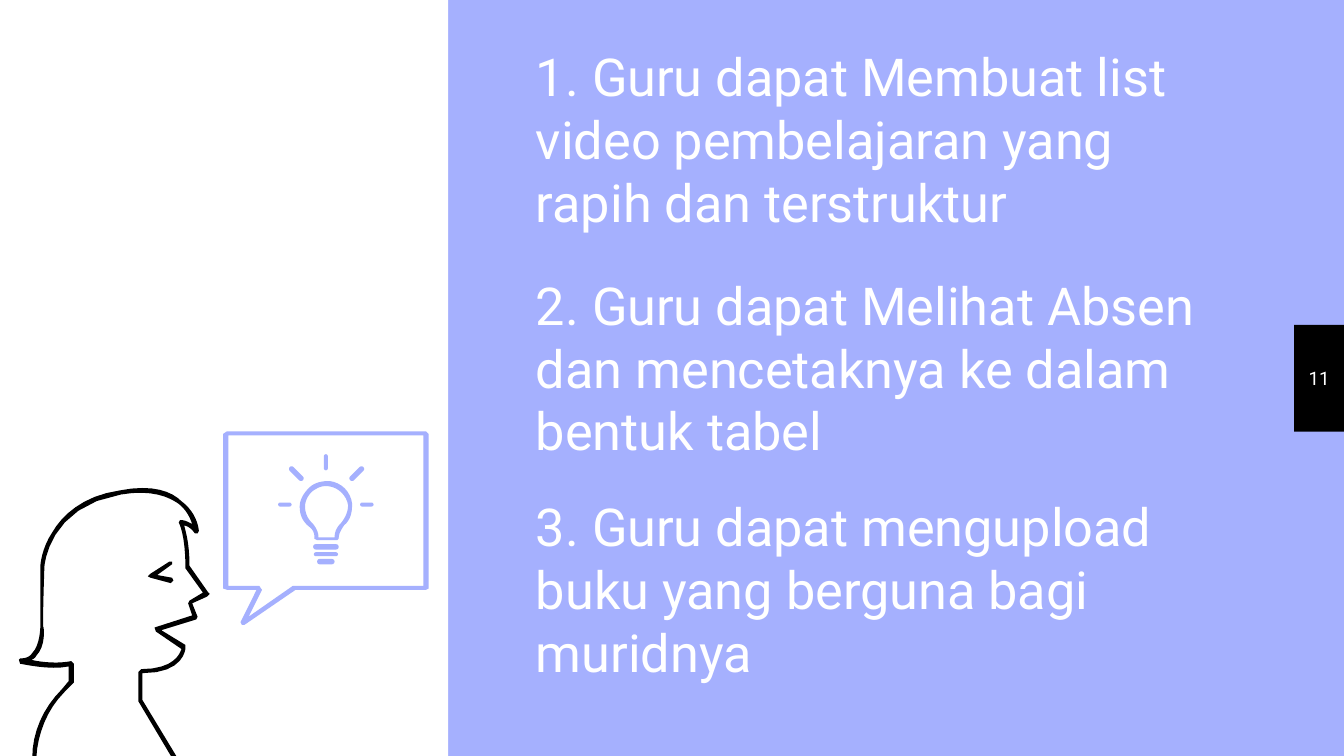
from dataclasses import dataclass
from math import atan2, cos, pi, sin

from pptx import Presentation
from pptx.dml.color import RGBColor as RGB
from pptx.enum.shapes import MSO_SHAPE as Shape
from pptx.enum.text import MSO_ANCHOR as Anchor, PP_ALIGN as Align
from pptx.util import Cm, Pt


@dataclass(frozen=True)
class Theme:
    lilac: RGB = RGB(0xA5, 0xB0, 0xFE)
    white: RGB = RGB(255, 255, 255)
    black: RGB = RGB(0, 0, 0)
    font: str = "Roboto"
    goal: int = 28
    page: int = 10


# Drawing grid: 1000 units across the slide.
# A pair is a straight line to a point, six numbers are a Bezier curve.
UNIT = Cm(25.4) / 1000

EYE = [(112, 427), (126, 418), (128, 418), (128, 420), (117, 428), (128, 430),
       (129, 432), (127, 434), (112, 430), (110, 429)]

HEAD = [
    # Chin, neck and shoulder
    (138, 480), (138, 482), (138, 483, 137, 501, 106, 501), (106, 521),
    (132, 564), (128, 564), (103, 522), (103, 500), (105, 498),
    (130, 498, 134, 486, 135, 483),
    # Mouth, nose and brow
    (116, 470), (115, 467), (143, 458), (140, 449), (141, 447), (151, 441),
    (138, 423), (138, 397, 133, 389, 133, 389), (134, 387),
    (138, 387, 141, 389, 143, 390),
    # Inner edge of the hair
    (141, 384, 138, 379, 133, 375), (126, 370, 113, 364, 90, 368),
    (36, 377, 33, 421, 33, 422), (33, 425, 32, 449, 32, 466),
    (33, 467, 34, 481, 27, 488), (26, 490, 24, 491, 23, 491),
    (31, 493, 44, 494, 53, 492), (55, 494),
    # Back
    (55, 508), (48, 515), (35, 528, 28, 546, 27, 564), (24, 564),
    (24, 545, 32, 527, 46, 513), (51, 507), (51, 496),
    (37, 499, 16, 494, 15, 494), (14, 491), (15, 490),
    # Outer edge of the hair
    (19, 490, 22, 489, 24, 486), (30, 480, 30, 466, 30, 466), (30, 422),
    (30, 420, 31, 408, 39, 396), (46, 384, 61, 369, 89, 365),
    (114, 360, 128, 366, 135, 373), (143, 379, 147, 387, 148, 395),
    (147, 397), (145, 397), (145, 397, 142, 392, 137, 391),
    # Face
    (138, 395, 141, 404, 141, 421), (155, 441), (156, 442), (154, 444),
    (143, 449), (147, 459), (146, 461), (120, 469),
]

BUBBLE = [
    [(169, 321), (317, 321), (319, 323), (319, 438), (317, 439), (220, 439),
     (182, 465), (180, 465), (179, 463), (191, 439), (169, 439), (166, 438),
     (166, 323)],
    [(170, 436), (193, 436), (195, 439), (185, 459), (218, 436), (315, 436),
     (315, 324), (170, 324)],
]

BULB = [
    [(256, 391), (254, 394, 252, 397, 252, 401), (251, 402), (236, 402),
     (234, 401), (234, 400), (234, 397, 233, 394, 230, 392),
     (225, 388, 223, 383, 223, 377), (223, 372, 226, 367, 230, 363),
     (234, 359, 240, 358, 245, 358), (254, 359, 261, 366, 262, 375),
     (262, 381, 261, 387, 256, 391)],
    [(259, 376), (258, 369, 252, 363, 245, 362), (240, 361, 236, 363, 232, 366),
     (229, 369, 227, 373, 227, 377), (227, 382, 229, 386, 232, 389),
     (235, 392, 237, 396, 237, 400), (249, 400),
     (249, 395, 251, 392, 254, 389), (257, 385, 259, 381, 259, 376)],
]

# Rounded strokes: start, end, width
STROKES = [
    (235, 407, 250, 407, 4), (235, 412.5, 250, 412.5, 3), (238, 418, 247, 418, 4),
    (242.5, 339.5, 242.5, 348.5, 3), (208.5, 375.5, 215.5, 375.5, 3),
    (269.5, 375.5, 276.5, 375.5, 3),
    (262, 356, 269, 349, 4), (217, 349, 224, 356, 4),
]

GOALS = [
    (2.16, "1. Guru dapat Membuat list video pembelajaran yang rapih dan terstruktur"),
    (6.48, "2. Guru dapat Melihat Absen dan mencetaknya ke dalam bentuk tabel"),
    (10.67, "3. Guru dapat mengupload buku yang berguna bagi muridnya"),
]


def trace(path, steps=8):
    """Turn lines and Bezier curves into points."""
    out = []
    for part in path:
        if len(part) == 2:
            out.append(part)
            continue
        pts = [out[-1], part[:2], part[2:4], part[4:]]
        for i in range(1, steps + 1):
            t = i / steps
            w = ((1 - t) ** 3, 3 * t * (1 - t) ** 2, 3 * t * t * (1 - t), t ** 3)
            out.append(tuple(sum(k * p[axis] for k, p in zip(w, pts))
                             for axis in (0, 1)))
    return [(x * UNIT, y * UNIT) for x, y in out]


def pill(x1, y1, x2, y2, width, steps=6):
    """Outline of a stroke with round ends."""
    turn = atan2(y2 - y1, x2 - x1)
    out = []
    for x, y, start in ((x2, y2, turn - pi / 2), (x1, y1, turn + pi / 2)):
        for i in range(steps + 1):
            a = start + pi * i / steps
            out.append((x + width / 2 * cos(a), y + width / 2 * sin(a)))
    return out


class Deck:
    def __init__(self, theme):
        self.theme = theme
        self.prs = Presentation()
        self.prs.slide_width, self.prs.slide_height = Cm(25.4), Cm(14.29)
        self.slide = self.prs.slides.add_slide(self.prs.slide_layouts[6])
        self.shapes = self.slide.shapes

    def ground(self, color):
        fill = self.slide.background.fill
        fill.solid()
        fill.fore_color.rgb = color

    def paint(self, shape, color):
        shape.shadow.inherit = False
        shape.fill.solid()
        shape.fill.fore_color.rgb = color
        shape.line.fill.background()

    def rect(self, x, y, w, h, color):
        box = self.shapes.add_shape(Shape.RECTANGLE, Cm(x), Cm(y), Cm(w), Cm(h))
        self.paint(box, color)

    def text(self, x, y, w, h, words, size, anchor, align=Align.LEFT):
        frame = self.shapes.add_textbox(Cm(x), Cm(y), Cm(w), Cm(h)).text_frame
        frame.word_wrap = True
        frame.vertical_anchor = anchor
        frame.margin_left = frame.margin_right = Cm(0.25)
        frame.margin_top = frame.margin_bottom = Cm(0.25)
        para = frame.paragraphs[0]
        para.text = words
        para.alignment = align
        para.font.name = self.theme.font
        para.font.size = Pt(size)
        para.font.color.rgb = self.theme.white

    def form(self, color, *paths):
        first, *rest = [trace(path) for path in paths]
        pen = self.shapes.build_freeform(*first[0], scale=1.0)
        pen.add_line_segments(first[1:], close=True)
        for pts in rest:
            pen.move_to(*pts[0])
            pen.add_line_segments(pts[1:], close=True)
        self.paint(pen.convert_to_shape(), color)


def main():
    theme = Theme()
    deck = Deck(theme)

    # Panels
    deck.ground(theme.lilac)
    deck.rect(24.46, 6.14, 0.94, 2.02, theme.black)
    deck.rect(0, 0, 8.47, 14.29, theme.white)

    # Goals and page number
    for top, words in GOALS:
        deck.text(9.88, top, 13.61, 2.49, words, theme.goal, Anchor.BOTTOM)
    deck.text(24.46, 6.13, 0.94, 2.02, "11", theme.page, Anchor.MIDDLE, Align.CENTER)

    # Speaker
    deck.form(theme.black, EYE)
    deck.form(theme.black, HEAD)

    # Speech bubble with light bulb
    deck.form(theme.lilac, *BUBBLE)
    for stroke in STROKES:
        deck.form(theme.lilac, pill(*stroke))
    deck.form(theme.lilac, *BULB)

    deck.prs.save("out.pptx")


if __name__ == "__main__":
    main()
